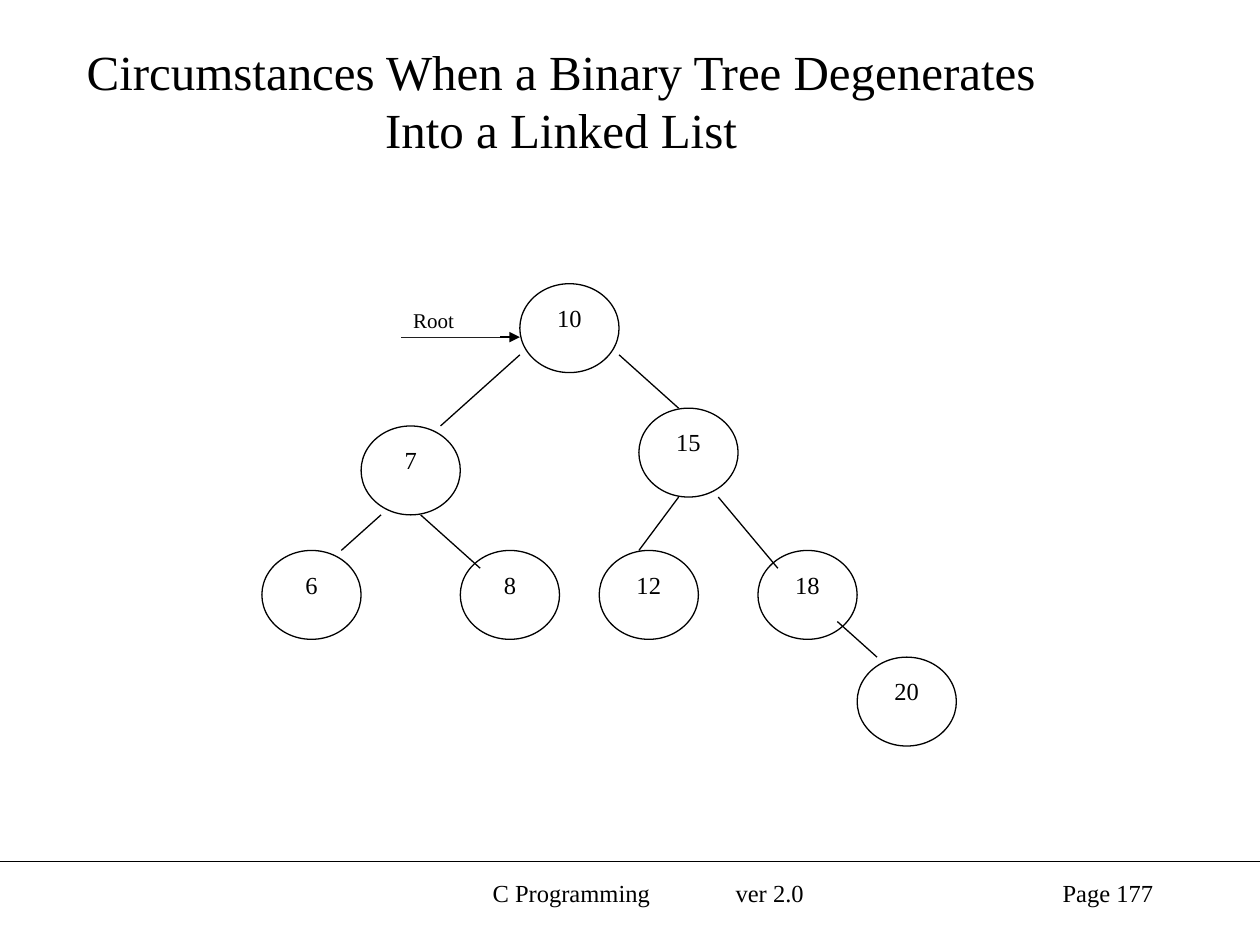
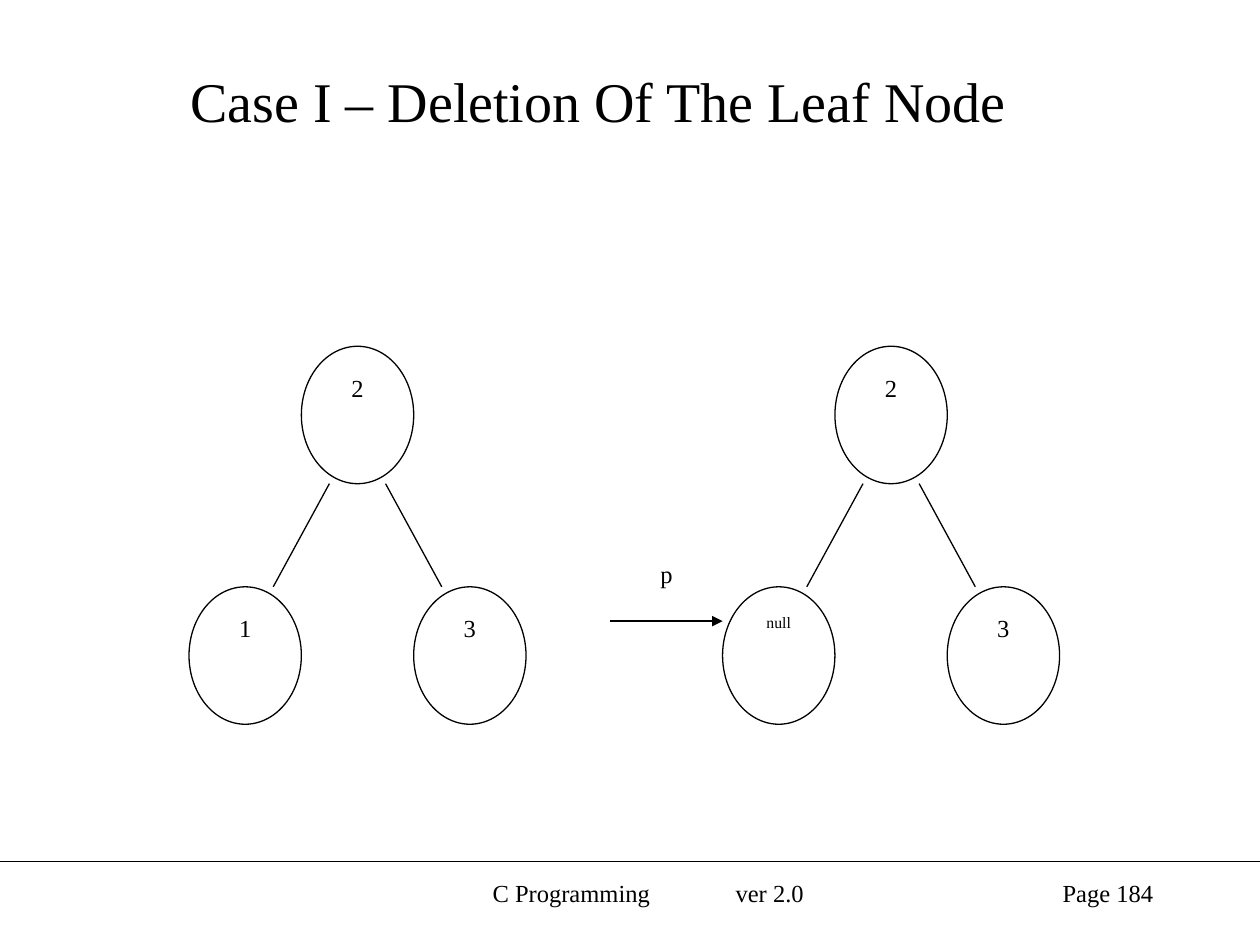
import pptx
import pptx.util
import pptx.dml.color
import pptx.enum.shapes
import pptx.enum.text
import pptx.oxml.ns
from lxml import etree

Cm = pptx.util.Cm
Pt = pptx.util.Pt
qn = pptx.oxml.ns.qn
Align = pptx.enum.text.PP_ALIGN
Shape = pptx.enum.shapes.MSO_SHAPE

BLACK = pptx.dml.color.RGBColor(0x00, 0x00, 0x00)
WHITE = pptx.dml.color.RGBColor(0xFF, 0xFF, 0xFF)
FONT = "Times New Roman"
TITLE_SIZE = 32
NODE_SIZE = 14


class Deck:
    def __init__(self):
        self.prs = pptx.Presentation()
        self.prs.slide_width, self.prs.slide_height = Cm(25.4), Cm(19.05)
        self.slide = None

    def page(self, title, left, number, size=TITLE_SIZE):
        """Start a slide with its title and the shared footer."""
        self.slide = self.prs.slides.add_slide(self.prs.slide_layouts[5])
        head = self.slide.shapes.title
        head.left, head.top = Cm(left), Cm(0.64)
        head.width, head.height = Cm(21.59), Cm(2.75)
        self.letter(head, title, size)
        frame = head.text_frame
        frame.vertical_anchor = pptx.enum.text.MSO_ANCHOR.MIDDLE
        for mark in frame.paragraphs[0]._p.iter(qn("a:br")):
            etree.SubElement(mark, qn("a:rPr"), sz=str(TITLE_SIZE * 100))

        self.line(0, Cm(17.36), Cm(25.4), Cm(17.36))
        course = self.foot("C Programming\tver 2.0", 8.69, 8.69, Align.LEFT)
        course.text_frame.margin_left = Cm(1.24)
        props = course.text_frame.paragraphs[0]._p.get_or_add_pPr()
        tabs = etree.SubElement(props, qn("a:tabLst"))
        etree.SubElement(tabs, qn("a:tab"), pos=str(Cm(4.9)), algn="l")
        self.foot(f"Page {number}", 18.21, 5.29, Align.RIGHT)

    def foot(self, text, left, width, align):
        box = self.slide.shapes.add_textbox(Cm(left), Cm(17.57), Cm(width), Cm(1.27))
        self.letter(box, text, NODE_SIZE, align)
        return box

    def letter(self, shape, text, size, align=Align.CENTER):
        """Put styled text into a shape."""
        frame = shape.text_frame
        frame.paragraphs[0].text = text.replace("\n", "\v")
        frame.word_wrap = True
        frame.auto_size = pptx.enum.text.MSO_AUTO_SIZE.NONE
        para = frame.paragraphs[0]
        para.alignment = align
        for run in para.runs:
            run.font.name = FONT
            run.font.size = Pt(size)
            run.font.color.rgb = BLACK

    def line(self, x1, y1, x2, y2, arrow=False):
        kind = pptx.enum.shapes.MSO_CONNECTOR.STRAIGHT
        link = self.slide.shapes.add_connector(kind, x1, y1, x2, y2)
        link.line.color.rgb = BLACK
        link.line.width = Pt(0.75)
        if arrow:
            etree.SubElement(link.line._get_or_add_ln(), qn("a:tailEnd"), type="triangle")
        etree.SubElement(link._element.spPr, qn("a:effectLst"))

    def grid(self, left, top, width, height, cols, rows):
        """Place the drawing area and split it into even steps."""
        self.left, self.top = Cm(left), Cm(top)
        self.col, self.row = Cm(width) / cols, Cm(height) / rows

    def spot(self, col, row):
        return round(self.left + col * self.col), round(self.top + row * self.row)

    def box(self, kind, text, col, row, wide, high, size, align=Align.CENTER):
        x, y = self.spot(col, row)
        shape = self.slide.shapes.add_shape(
            kind, x, y, round(wide * self.col), round(high * self.row))
        shape.shadow.inherit = False
        shape.fill.solid()
        shape.fill.fore_color.rgb = WHITE
        if kind == Shape.OVAL:
            shape.line.color.rgb = BLACK
            shape.line.width = Pt(0.75)
        else:
            shape.line.fill.background()
        self.letter(shape, text, size, align)
        shape.text_frame.vertical_anchor = pptx.enum.text.MSO_ANCHOR.TOP

    def node(self, text, col, row, span, size=NODE_SIZE):
        self.box(Shape.OVAL, text, col, row, span, span, size)

    def label(self, text, col, row, wide, high, size, align):
        self.box(Shape.RECTANGLE, text, col, row, wide, high, size, align)

    def edge(self, start, end, arrow=False):
        self.line(*self.spot(*start), *self.spot(*end), arrow)


def search_tree(deck):
    deck.page("Circumstances When a Binary Tree Degenerates \nInto a Linked List ",
              0.64, 177, size=28)
    deck.grid(5.28, 5.72, 14, 9.32, 35, 26)
    nodes = [(10, 13, 0), (15, 19, 7), (12, 17, 15), (7, 5, 8),
             (8, 10, 15), (18, 25, 15), (6, 0, 15), (20, 30, 21)]
    for value, col, row in nodes:
        deck.node(str(value), col, row, 5)
    edges = [((13, 4), (9, 8)), ((18, 4), (21, 7)), ((21, 12), (19, 15)),
             ((23, 12), (26, 16)), ((6, 13), (4, 15)), ((8, 13), (11, 16)),
             ((29, 19), (31, 21))]
    for start, end in edges:
        deck.edge(start, end)
    deck.edge((7, 3), (13, 3), arrow=True)
    deck.label("Root", 7, 1, 5, 2, 12, Align.LEFT)


def leaf_case(deck):
    deck.page("Case I – Deletion Of The Leaf Node", 1.27, 184)
    deck.grid(3.81, 6.98, 17.55, 7.62, 31, 11)
    deck.label("p", 14, 6, 6, 3, NODE_SIZE, Align.CENTER)
    for shift, leaf, size in [(0, "1", NODE_SIZE), (19, "null", 9)]:
        deck.node("2", shift + 4, 0, 4)
        deck.node(leaf, shift, 7, 4, size)
        deck.node("3", shift + 8, 7, 4)
        deck.edge((shift + 5, 4), (shift + 3, 7))
        deck.edge((shift + 7, 4), (shift + 9, 7))
    deck.edge((15, 8), (19, 8), arrow=True)


def main():
    deck = Deck()
    search_tree(deck)
    leaf_case(deck)
    deck.prs.save("out.pptx")


if __name__ == "__main__":
    main()
